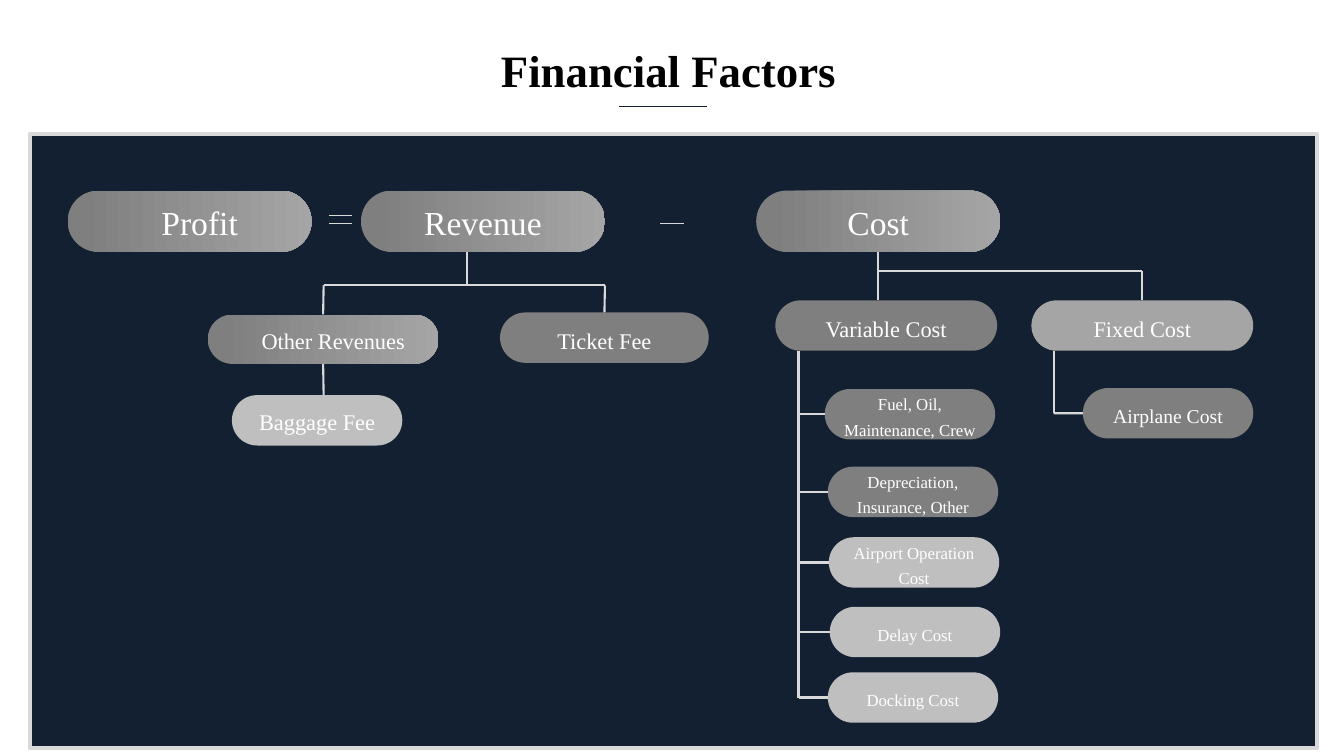
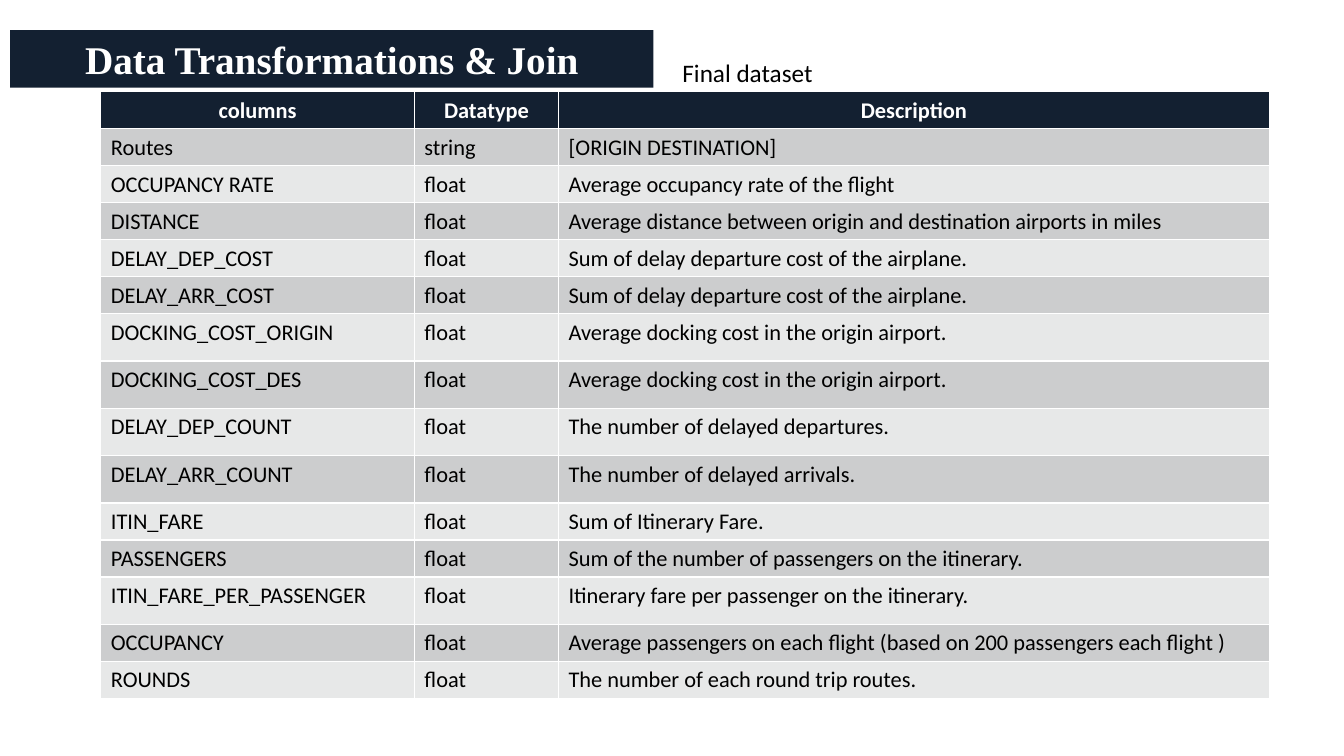
"""Build two slides: a tree of financial factors and the columns of the final dataset."""
from lxml.etree import SubElement
from pptx import Presentation
from pptx.dml.color import RGBColor
from pptx.enum.shapes import MSO_CONNECTOR, MSO_SHAPE
from pptx.enum.text import MSO_ANCHOR, PP_ALIGN
from pptx.oxml.ns import qn
from pptx.util import Inches, Pt

NAVY = RGBColor(0x13, 0x20, 0x31)
WHITE = RGBColor(0xFF, 0xFF, 0xFF)
BLACK = RGBColor(0x00, 0x00, 0x00)
DARK = RGBColor(0x7F, 0x7F, 0x7F)
MID = RGBColor(0xA5, 0xA5, 0xA5)
LIGHT = RGBColor(0xBF, 0xBF, 0xBF)
RULE = RGBColor(0xD9, 0xD9, 0xD9)
BANDS = RGBColor(0xCC, 0xCD, 0xCE), RGBColor(0xE7, 0xE8, 0xE8)
SERIF, SANS = "Times New Roman", "Calibri"
LEFT, CENTER = PP_ALIGN.LEFT, PP_ALIGN.CENTER


def write(frame, text, size, color, font=SERIF, bold=False, align=CENTER, spacing=None):
    frame.word_wrap = True
    paragraph = frame.paragraphs[0]
    paragraph.alignment = align
    paragraph.line_spacing = spacing
    run = paragraph.add_run()
    run.text = text
    style = {"size": Pt(size), "name": font, "bold": bold}
    for key, value in style.items():
        setattr(run.font, key, value)
    run.font.color.rgb = color


def link(slide, x1, y1, x2, y2, color=RULE, width=1.5, begin=None, end=None):
    line = slide.shapes.add_connector(
        MSO_CONNECTOR.STRAIGHT, Inches(x1), Inches(y1), Inches(x2), Inches(y2))
    line.line.color.rgb = color
    line.line.width = Pt(width)
    SubElement(line.element.spPr, qn("a:effectLst"))
    if begin:
        line.begin_connect(*begin)
    if end:
        line.end_connect(*end)


prs = Presentation()
prs.slide_width, prs.slide_height = Inches(13.33), Inches(7.5)
factors, dataset = [prs.slides.add_slide(prs.slide_layouts[6]) for _ in range(2)]

heading = factors.shapes.add_textbox(Inches(4.87), Inches(0.37), Inches(5.01), Inches(0.64))
write(heading.text_frame, "Financial Factors", 32, BLACK, bold=True, align=LEFT)
link(factors, 6.14, 1.06, 7.01, 1.06, NAVY, 0.5)

panel = factors.shapes.add_shape(
    MSO_SHAPE.RECTANGLE, Inches(0.3), Inches(1.33), Inches(12.76), Inches(6.09))
panel.shadow.inherit = False
panel.fill.solid()
panel.fill.fore_color.rgb = NAVY
panel.line.color.rgb = RULE
panel.line.width = Pt(3)

factor_specs = [
    ("Profit", 0.67, 1.89, 2.42, 0.61, 24, None, 0.2, 0.09),
    ("Revenue", 3.58, 1.89, 2.42, 0.61, 24, None, 0, 0.09),
    ("Cost", 7.5, 1.89, 2.42, 0.61, 24, None, 0, 0.09),
    ("Other Revenues", 2.06, 3.12, 2.29, 0.49, 16, None, 0.2, 0.04),
    ("Ticket Fee", 4.96, 3.1, 2.07, 0.5, 16, DARK, 0, 0),
    ("Baggage Fee", 2.3, 3.92, 1.69, 0.5, 16, LIGHT, 0, 0.04),
    ("Variable Cost", 7.69, 2.98, 2.2, 0.5, 16, DARK, 0, 0),
    ("Fixed Cost", 10.23, 2.98, 2.2, 0.5, 16, MID, 0, 0),
    ("Airplane Cost", 10.74, 3.85, 1.69, 0.5, 14, DARK, 0, 0),
    ("Fuel, Oil, Maintenance, Crew", 8.18, 3.86, 1.69, 0.5, 12, DARK, 0, 0),
    ("Depreciation, Insurance, Other", 8.21, 4.63, 1.69, 0.5, 12, DARK, 0, 0),
    ("Airport Operation Cost", 8.22, 5.33, 1.69, 0.5, 12, LIGHT, 0, 0),
    ("Delay Cost", 8.23, 6.02, 1.69, 0.5, 12, LIGHT, 0, 0),
    ("Docking Cost", 8.21, 6.67, 1.69, 0.5, 12, LIGHT, 0, 0),
]
pills = {}
for label, x, y, w, h, size, color, indent, lift in factor_specs:
    pill = factors.shapes.add_shape(
        MSO_SHAPE.ROUNDED_RECTANGLE, Inches(x), Inches(y), Inches(w), Inches(h))
    pill.adjustments[0] = 0.5
    pill.shadow.inherit = False
    pill.line.fill.background()
    if color is None:
        pill.fill.gradient()
        pill.fill.gradient_angle = 0
        for stop, position, shade in zip(pill.fill.gradient_stops, (0.06, 1), (DARK, MID)):
            stop.position = position
            stop.color.rgb = shade
    else:
        pill.fill.solid()
        pill.fill.fore_color.rgb = color
    frame = pill.text_frame
    layout = {"margin_left": Inches(0.05 + indent), "margin_right": Inches(0.05),
              "margin_top": 0, "margin_bottom": Inches(lift),
              "vertical_anchor": MSO_ANCHOR.MIDDLE}
    for key, value in layout.items():
        setattr(frame, key, value)
    write(frame, label, size, WHITE, spacing=1.25)
    pills[label] = pill

for x, y in [(3.26, 2.14), (3.26, 2.22), (6.55, 2.22)]:
    link(factors, x, y, x + 0.23, y, width=1)

link(factors, 4.63, 2.5, 4.63, 2.83)
link(factors, 3.21, 2.83, 6, 2.83)
link(factors, 3.21, 2.83, 3.21, 3.12, end=(pills["Other Revenues"], 0))
link(factors, 6, 2.83, 6, 3.1, end=(pills["Ticket Fee"], 0))
link(factors, 3.21, 3.61, 3.21, 3.92, begin=(pills["Other Revenues"], 2))
link(factors, 8.71, 2.5, 8.71, 2.98, begin=(pills["Cost"], 2))
link(factors, 8.71, 2.69, 11.33, 2.69)
link(factors, 11.33, 2.69, 11.33, 2.98, end=(pills["Fixed Cost"], 0))
link(factors, 7.92, 3.48, 7.92, 6.92)
link(factors, 10.45, 3.48, 10.45, 4.1)
link(factors, 10.45, 4.1, 10.74, 4.1, end=(pills["Airplane Cost"], 1))
for label, x, y, w, h, *_ in factor_specs[-5:]:
    link(factors, 7.92, y + h / 2, x, y + h / 2, end=(pills[label], 1))

banner = dataset.shapes.add_shape(
    MSO_SHAPE.RECTANGLE, Inches(0.1), Inches(0.3), Inches(6.38), Inches(0.57))
banner.shadow.inherit = False
banner.fill.solid()
banner.fill.fore_color.rgb = NAVY
banner.line.fill.background()
banner.text_frame.vertical_anchor = MSO_ANCHOR.MIDDLE
write(banner.text_frame, "Data Transformations & Join", 28, WHITE, bold=True)

caption = dataset.shapes.add_textbox(Inches(6.67), Inches(0.52), Inches(1.62), Inches(0.71))
write(caption.text_frame, "Final dataset", 18, BLACK, SANS, align=LEFT)

columns = [
    ("columns", "Datatype", "Description"),
    ("Routes", "string", "[ORIGIN DESTINATION]"),
    ("OCCUPANCY RATE", "float", "Average occupancy rate of the flight"),
    ("DISTANCE", "float", "Average distance between origin and destination airports in miles"),
    ("DELAY_DEP_COST", "float", "Sum of delay departure cost of the airplane."),
    ("DELAY_ARR_COST", "float", "Sum of delay departure cost of the airplane."),
    ("DOCKING_COST_ORIGIN", "float", "Average docking cost in the origin airport."),
    ("DOCKING_COST_DES", "float", "Average docking cost in the origin airport."),
    ("DELAY_DEP_COUNT", "float", "The number of delayed departures."),
    ("DELAY_ARR_COUNT", "float", "The number of delayed arrivals."),
    ("ITIN_FARE", "float", "Sum of Itinerary Fare."),
    ("PASSENGERS", "float", "Sum of the number of passengers on the itinerary."),
    ("ITIN_FARE_PER_PASSENGER", "float", "Itinerary fare per passenger on the itinerary."),
    ("OCCUPANCY", "float",
     "Average passengers on each flight (based on 200 passengers each flight )"),
    ("ROUNDS", "float", "The number of each round trip routes."),
]
tall_rows = {6, 7, 8, 9, 12}
tall = 0.47
short = (6 - tall * len(tall_rows)) / (len(columns) - len(tall_rows))
grid = dataset.shapes.add_table(
    len(columns), 3, Inches(1), Inches(0.91), Inches(11.59), Inches(6)).table
grid.horz_banding = False
for column, width in zip(grid.columns, (3.11, 1.43, 7.05)):
    column.width = Inches(width)
for r, entries in enumerate(columns):
    grid.rows[r].height = Inches(tall if r in tall_rows else short)
    header = r == 0
    for c, entry in enumerate(entries):
        cell = grid.cell(r, c)
        cell.fill.solid()
        cell.fill.fore_color.rgb = NAVY if header else BANDS[(r - 1) % 2]
        write(cell.text_frame, entry, 16, WHITE if header else BLACK, SANS,
              bold=header, align=CENTER if header else LEFT)

prs.save("out.pptx")
